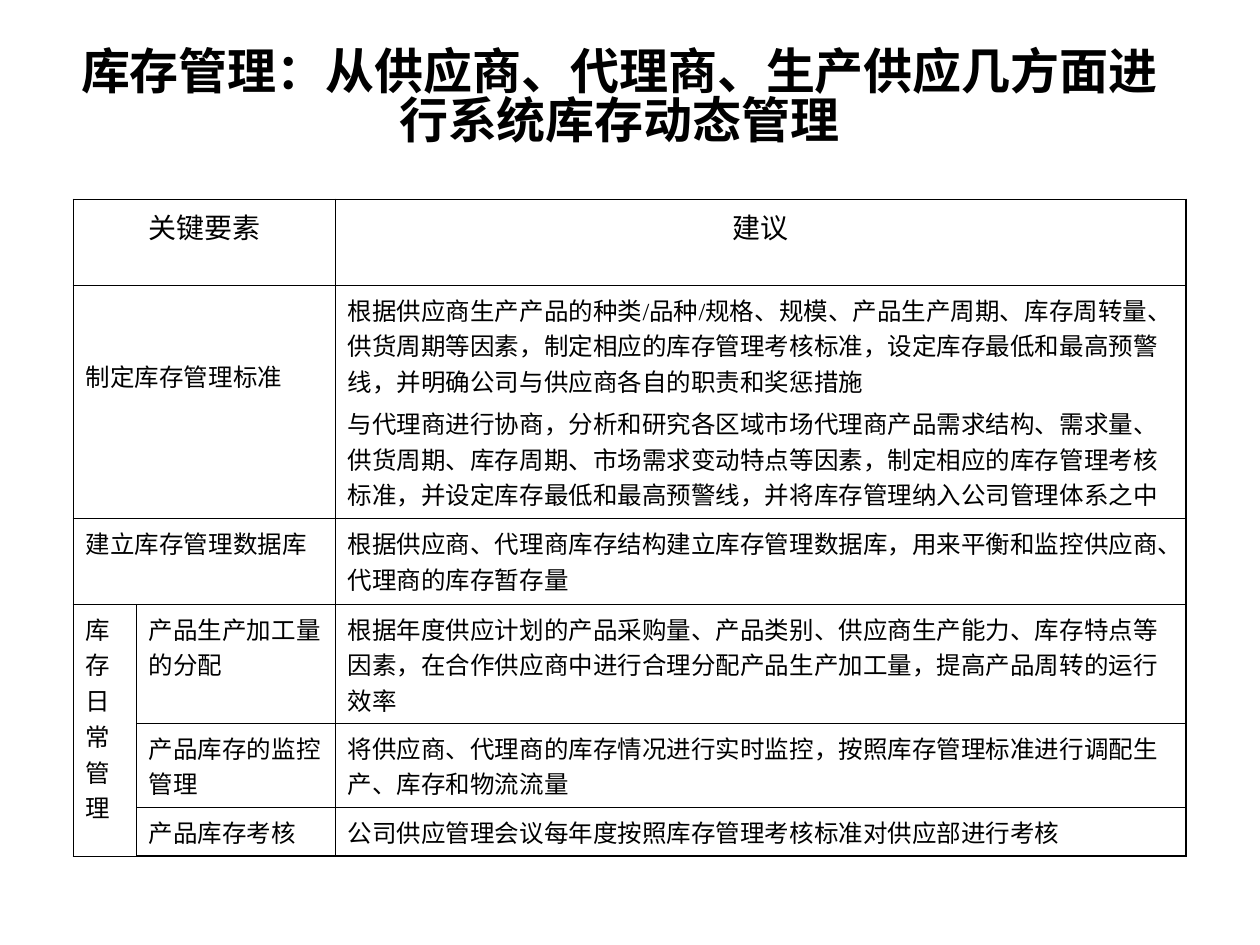
"""Build a slide with a table of inventory management recommendations."""
from lxml.etree import SubElement
from pptx import Presentation
from pptx.dml.color import RGBColor
from pptx.enum.text import MSO_ANCHOR, PP_ALIGN
from pptx.oxml.ns import qn
from pptx.util import Cm, Pt

BLACK = RGBColor(0, 0, 0)
CHINESE_FONT = "Noto Sans CJK SC"
LATIN_FONT = "Times New Roman"
INNER_LINE, OUTER_LINE = Pt(0.45), Pt(1.08)

TITLE = "库存管理：从供应商、代理商、生产供应几方面进行系统库存动态管理"
ROWS = [
    ("关键要素", "", "建议"),
    ("制定库存管理标准", "",
     "根据供应商生产产品的种类/品种/规格、规模、产品生产周期、库存周转量、供货周期等因素，"
     "制定相应的库存管理考核标准，设定库存最低和最高预警线，并明确公司与供应商各自的职责和奖惩措施\n"
     "与代理商进行协商，分析和研究各区域市场代理商产品需求结构、需求量、供货周期、库存周期、"
     "市场需求变动特点等因素，制定相应的库存管理考核标准，并设定库存最低和最高预警线，"
     "并将库存管理纳入公司管理体系之中"),
    ("建立库存管理数据库", "",
     "根据供应商、代理商库存结构建立库存管理数据库，用来平衡和监控供应商、代理商的库存暂存量"),
    ("库存日常管理", "产品生产加工量的分配",
     "根据年度供应计划的产品采购量、产品类别、供应商生产能力、库存特点等因素，"
     "在合作供应商中进行合理分配产品生产加工量，提高产品周转的运行效率"),
    ("", "产品库存的监控管理",
     "将供应商、代理商的库存情况进行实时监控，按照库存管理标准进行调配生产、库存和物流流量"),
    ("", "产品库存考核", "公司供应管理会议每年度按照库存管理考核标准对供应部进行考核"),
]
COLUMN_WIDTHS = [1.27, 4.01, 17.15]
ROW_HEIGHTS = [1.73, 4.7, 1.73, 2.4, 1.7, 0.98]
MERGES = [((0, 0), (0, 1)), ((1, 0), (1, 1)), ((2, 0), (2, 1)), ((3, 0), (5, 0))]


def style_paragraph(paragraph, size, latin, bold=False):
    font = paragraph.font
    font.size, font.name, font.bold = Pt(size), latin, bold
    font.color.rgb = BLACK
    defaults = paragraph._p.pPr.find(qn("a:defRPr"))
    SubElement(defaults, qn("a:ea")).set("typeface", CHINESE_FONT)


def add_borders(cell, row, column):
    properties = cell._tc.get_or_add_tcPr()
    edges = {"L": column == 0, "R": column == len(COLUMN_WIDTHS) - 1,
             "T": row == 0, "B": row == len(ROWS) - 1}
    for position, (side, outer) in enumerate(edges.items()):
        line = properties.makeelement(qn(f"a:ln{side}"), {"w": str(OUTER_LINE if outer else INNER_LINE)})
        fill = SubElement(line, qn("a:solidFill"))
        SubElement(fill, qn("a:srgbClr")).set("val", str(BLACK))
        properties.insert(position, line)


def fill_cell(cell, text, header):
    cell.fill.background()
    cell.margin_left = cell.margin_right = Cm(0.25)
    cell.margin_top = cell.margin_bottom = Cm(0.13)
    cell.text_frame.text = text
    for index, paragraph in enumerate(cell.text_frame.paragraphs):
        if index:
            paragraph.space_before = Pt(3.5)
        if header:
            paragraph.alignment = PP_ALIGN.CENTER
        style_paragraph(paragraph, 16 if header else 14, LATIN_FONT)


def add_title(page):
    box = page.shapes.add_textbox(Cm(1.27), Cm(0.84), Cm(22.43), Cm(2.34))
    frame = box.text_frame
    frame.word_wrap = True
    frame.vertical_anchor = MSO_ANCHOR.MIDDLE
    frame.text = TITLE
    paragraph = frame.paragraphs[0]
    paragraph.alignment = PP_ALIGN.CENTER
    paragraph.line_spacing = 0.83
    style_paragraph(paragraph, 28, CHINESE_FONT, bold=True)


def add_recommendations(page):
    table = page.shapes.add_table(
        len(ROWS), len(COLUMN_WIDTHS), Cm(1.48), Cm(4.02),
        Cm(sum(COLUMN_WIDTHS)), Cm(sum(ROW_HEIGHTS))).table
    table.first_row = table.horz_banding = False
    for column, width in zip(table.columns, COLUMN_WIDTHS):
        column.width = Cm(width)
    for row, height in zip(table.rows, ROW_HEIGHTS):
        row.height = Cm(height)
    for row, texts in enumerate(ROWS):
        for column, text in enumerate(texts):
            cell = table.cell(row, column)
            fill_cell(cell, text, header=row == 0)
            add_borders(cell, row, column)
    for first, last in MERGES:
        table.cell(*first).merge(table.cell(*last))
    table.cell(1, 0).margin_top = Cm(1.46)


def main():
    deck = Presentation()
    deck.slide_width, deck.slide_height = Cm(25.4), Cm(19.05)
    page = deck.slides.add_slide(deck.slide_layouts[6])
    add_title(page)
    add_recommendations(page)
    deck.save("out.pptx")


if __name__ == "__main__":
    main()
